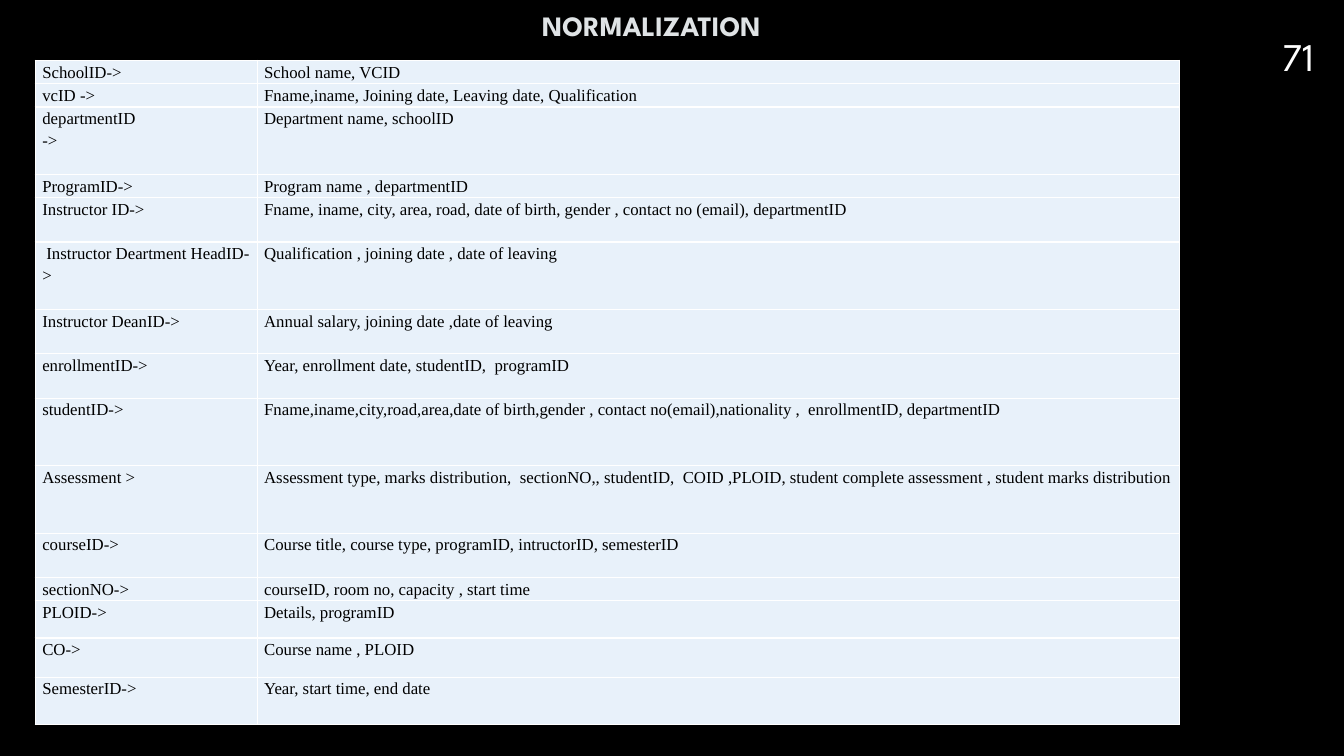
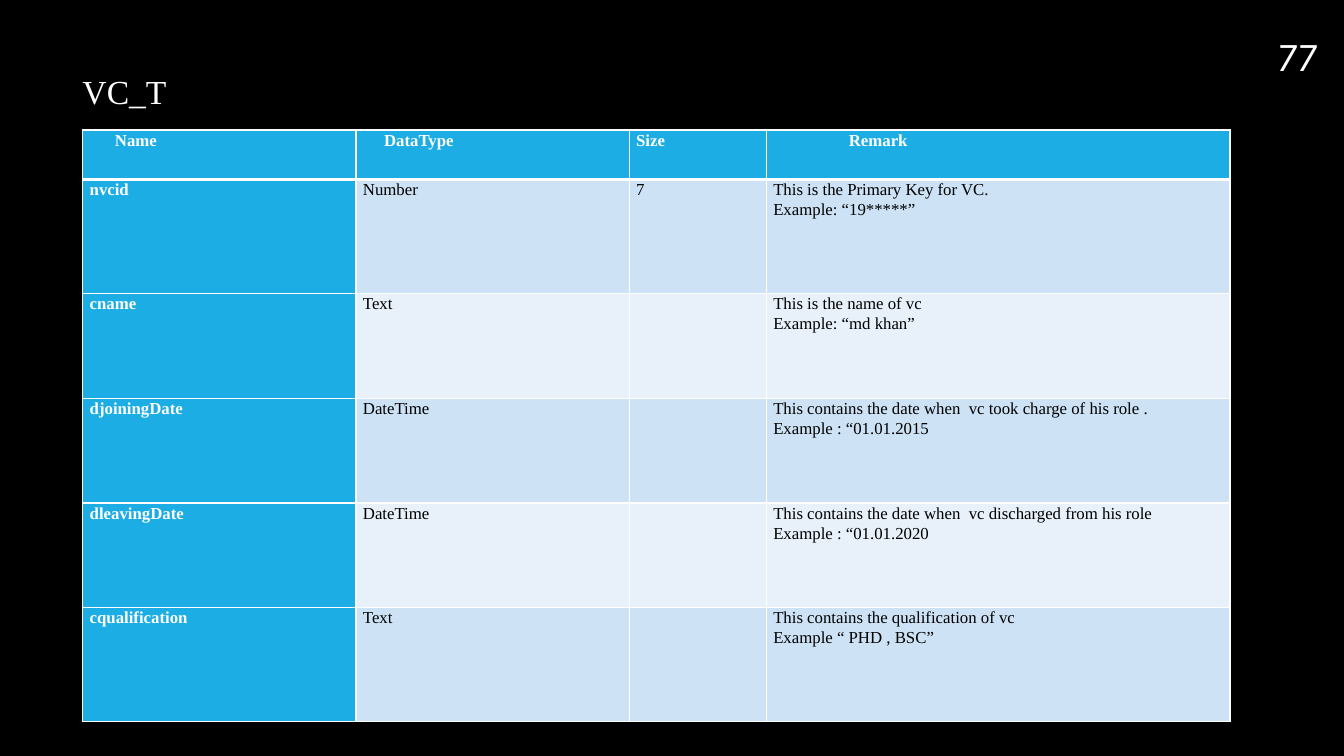
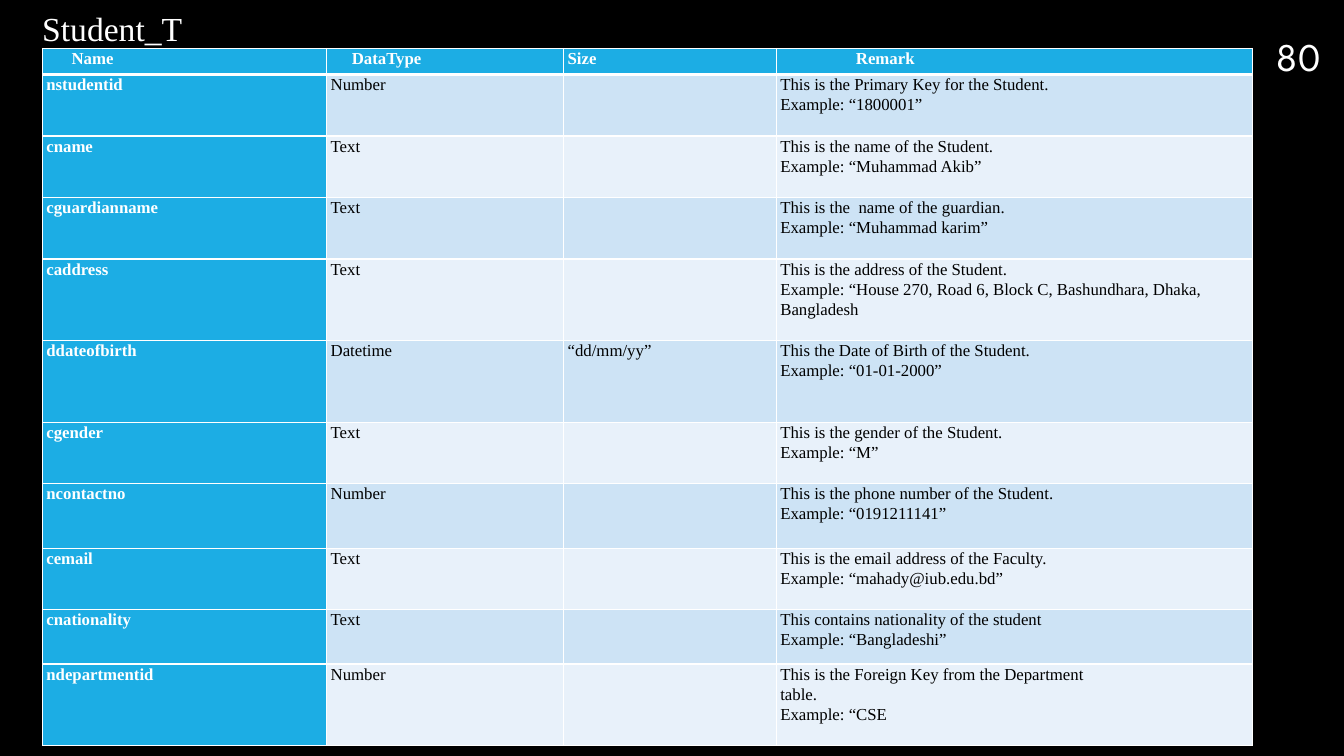
from lxml import etree
from pptx import Presentation
from pptx.dml.color import RGBColor
from pptx.enum.text import MSO_ANCHOR, PP_ALIGN
from pptx.oxml.ns import qn
from pptx.util import Inches, Pt

CENTER = PP_ALIGN.CENTER
LEFT = PP_ALIGN.LEFT
TOP = MSO_ANCHOR.TOP
MIDDLE = MSO_ANCHOR.MIDDLE
BOTTOM = MSO_ANCHOR.BOTTOM

BLACK, WHITE = "000000", "FFFFFF"
TITLE_GREY = "DFE3E5"
BLUE, PALE, MID = "1CADE4", "E8F1FA", "CDE3F5"
DISPLAY, SERIF = "League Spartan", "Times New Roman"

HEADER = [("Name", 0.25), ("DataType", 0.21), ("Size", 0), ("Remark", 0.75)]

DEPENDENCIES = [
    (0.23, "SchoolID->", "School name, VCID"),
    (0.22, "vcID ->", "Fname,iname, Joining date, Leaving date, Qualification"),
    (0.67, "departmentID\n->", "Department name, schoolID"),
    (0.22, "ProgramID->", "Program name , departmentID"),
    (0.44, "Instructor ID->",
     "Fname, iname, city, area, road, date of birth, gender , contact no (email), departmentID"),
    (0.67, "Instructor Deartment HeadID->", "Qualification , joining date , date of leaving"),
    (0.44, "Instructor DeanID->", "Annual salary, joining date ,date of leaving"),
    (0.44, "enrollmentID->", "Year, enrollment date, studentID,  programID"),
    (0.67, "studentID->",
     "Fname,iname,city,road,area,date of birth,gender , contact no(email),nationality ,"
     "  enrollmentID, departmentID"),
    (0.67, "Assessment >",
     "Assessment type, marks distribution,  sectionNO,, studentID,  COID ,PLOID, "
     "student complete assessment , student marks distribution"),
    (0.44, "courseID->", "Course title, course type, programID, intructorID, semesterID"),
    (0.22, "sectionNO->", "courseID, room no, capacity , start time"),
    (0.37, "PLOID->", "Details, programID"),
    (0.39, "CO->", "Course name , PLOID"),
    (0.47, "SemesterID->", "Year, start time, end date"),
]

VC_FIELDS = [
    (1.13, "nvcid", "Number", "7", "This is the Primary Key for VC.\nExample: “19*****”"),
    (1.04, "cname", "Text", "", "This is the name of vc\nExample: “md khan”"),
    (1.04, "djoiningDate", "DateTime", "",
     "This contains the date when  vc took charge of his role .\nExample : “01.01.2015"),
    (1.04, "dleavingDate", "DateTime", "",
     "This contains the date when  vc discharged from his role\nExample : “01.01.2020"),
    (1.13, "cqualification", "Text", "",
     "This contains the qualification of vc\nExample “ PHD , BSC”"),
]

STUDENT_FIELDS = [
    (0.61, "nstudentid", "Number", "",
     "This is the Primary Key for the Student.\nExample: “1800001”"),
    (0.61, "cname", "Text", "", "This is the name of the Student.\nExample: “Muhammad Akib”"),
    (0.61, "cguardianname", "Text", "",
     "This is the  name of the guardian.\nExample: “Muhammad karim”"),
    (0.81, "caddress", "Text", "",
     "This is the address of the Student.\n"
     "Example: “House 270, Road 6, Block C, Bashundhara, Dhaka, Bangladesh"),
    (0.81, "ddateofbirth", "Datetime", "“dd/mm/yy”",
     "This the Date of Birth of the Student.\nExample: “01-01-2000”"),
    (0.61, "cgender", "Text", "", "This is the gender of the Student.\nExample: “M”"),
    (0.64, "ncontactno", "Number", "",
     "This is the phone number of the Student.\nExample: “0191211141”"),
    (0.61, "cemail", "Text", "",
     "This is the email address of the Faculty.\nExample: “mahady@iub.edu.bd”"),
    (0.54, "cnationality", "Text", "",
     "This contains nationality of the student\nExample: “Bangladeshi”"),
    (0.81, "ndepartmentid", "Number", "",
     "This is the Foreign Key from the Department\ntable.\nExample: “CSE"),
]


def rgb(color):
    return RGBColor.from_string(color)


def write(tf, text, size, font, color, bold=False, spacing=1.0, align=LEFT):
    for i, line in enumerate(text.split("\n")):
        p = tf.paragraphs[0] if i == 0 else tf.add_paragraph()
        p.alignment = align
        p.line_spacing = spacing
        p.font.size = Pt(size)
        if line:
            r = p.add_run()
            r.text = line
            r.font.size = Pt(size)
            r.font.name = font
            r.font.bold = bold
            r.font.color.rgb = rgb(color)


def add_text(s, box, text, size, font, color, anchor=TOP, wrap=True, **style):
    tf = s.shapes.add_textbox(*map(Inches, box)).text_frame
    tf.word_wrap = wrap
    tf.vertical_anchor = anchor
    write(tf, text, size, font, color, **style)


def add_slide(prs, number):
    s = prs.slides.add_slide(prs.slide_layouts[6])
    s.background.fill.solid()
    s.background.fill.fore_color.rgb = rgb(BLACK)
    add_text(s, (12.42, 0, 0.92, 0.84), number, 28, DISPLAY, WHITE, BOTTOM, align=CENTER)
    return s


def set_borders(cell, top=1, bottom=1):
    tc_pr = cell._tc.get_or_add_tcPr()
    widths = {"a:lnL": 1, "a:lnR": 1, "a:lnT": top, "a:lnB": bottom}
    for i, (tag, width) in enumerate(widths.items()):
        ln = etree.Element(qn(tag), w=str(Pt(width)))
        fill = etree.SubElement(ln, qn("a:solidFill"))
        etree.SubElement(fill, qn("a:srgbClr"), val=WHITE)
        tc_pr.insert(i, ln)


def set_cell(cell, text, fill, color, inset, bold=False, spacing=1.07, top=1, bottom=1):
    cell.margin_left = cell.margin_right = Inches(inset)
    cell.margin_top = cell.margin_bottom = 0
    cell.fill.solid()
    cell.fill.fore_color.rgb = rgb(fill)
    set_borders(cell, top, bottom)
    write(cell.text_frame, text, 12, SERIF, color, bold, spacing)


def indent(cell, attribute, amount):
    p_pr = cell.text_frame.paragraphs[0]._p.get_or_add_pPr()
    p_pr.set("marL", "0")
    p_pr.set("indent", "0")
    p_pr.set(attribute, str(Inches(amount)))


def add_grid(s, left, top, cols, heights):
    frame = s.shapes.add_table(len(heights), len(cols), Inches(left), Inches(top),
                               Inches(sum(cols)), Inches(sum(heights)))
    table = frame.table
    table.first_row = table.horz_banding = False
    for column, width in zip(table.columns, cols):
        column.width = Inches(width)
    for row, height in zip(table.rows, heights):
        row.height = Inches(height)
    return table


def add_dependencies(s):
    table = add_grid(s, 0.35, 0.6, (2.2, 9.15), [row[0] for row in DEPENDENCIES])
    for i, (_, *texts) in enumerate(DEPENDENCIES):
        for j, text in enumerate(texts):
            set_cell(table.cell(i, j), text, PALE, BLACK, 0.07, spacing=1.15)
    indent(table.cell(5, 0), "indent", 0.04)


def add_fields(s, left, top, cols, header_height, fields, inset):
    table = add_grid(s, left, top, cols, [header_height] + [row[0] for row in fields])
    for j, (text, margin) in enumerate(HEADER):
        cell = table.cell(0, j)
        set_cell(cell, text, BLUE, WHITE, inset, bold=True, bottom=3)
        indent(cell, "marL", margin)
    for i, (_, *texts) in enumerate(fields, 1):
        band = MID if i % 2 else PALE
        for j, text in enumerate(texts):
            fill, color = (band, BLACK) if j else (BLUE, WHITE)
            set_cell(table.cell(i, j), text, fill, color, inset, bold=j == 0,
                     top=3 if i == 1 else 1)


def add_table_name(s, box, text):
    add_text(s, box, text, 24, SERIF, WHITE, wrap=False, spacing=1.07)


def main():
    prs = Presentation()
    prs.slide_width, prs.slide_height = Inches(13.33), Inches(7.5)

    s = add_slide(prs, "71")
    add_dependencies(s)
    add_text(s, (5.28, 0.05, 3.03, 0.41), "NORMALIZATION", 20, DISPLAY, TITLE_GREY,
             MIDDLE, bold=True)

    s = add_slide(prs, "77")
    add_table_name(s, (0.72, 0.63, 1.04, 0.5), "VC_T")
    add_fields(s, 0.82, 1.29, (2.71, 2.71, 1.36, 4.6), 0.49, VC_FIELDS, 0.07)

    s = add_slide(prs, "80")
    add_table_name(s, (0.32, 0, 1.61, 0.51), "Student_T")
    add_fields(s, 0.42, 0.48, (2.82, 2.35, 2.11, 4.72), 0.26, STUDENT_FIELDS, 0.04)

    prs.save("out.pptx")


if __name__ == "__main__":
    main()
